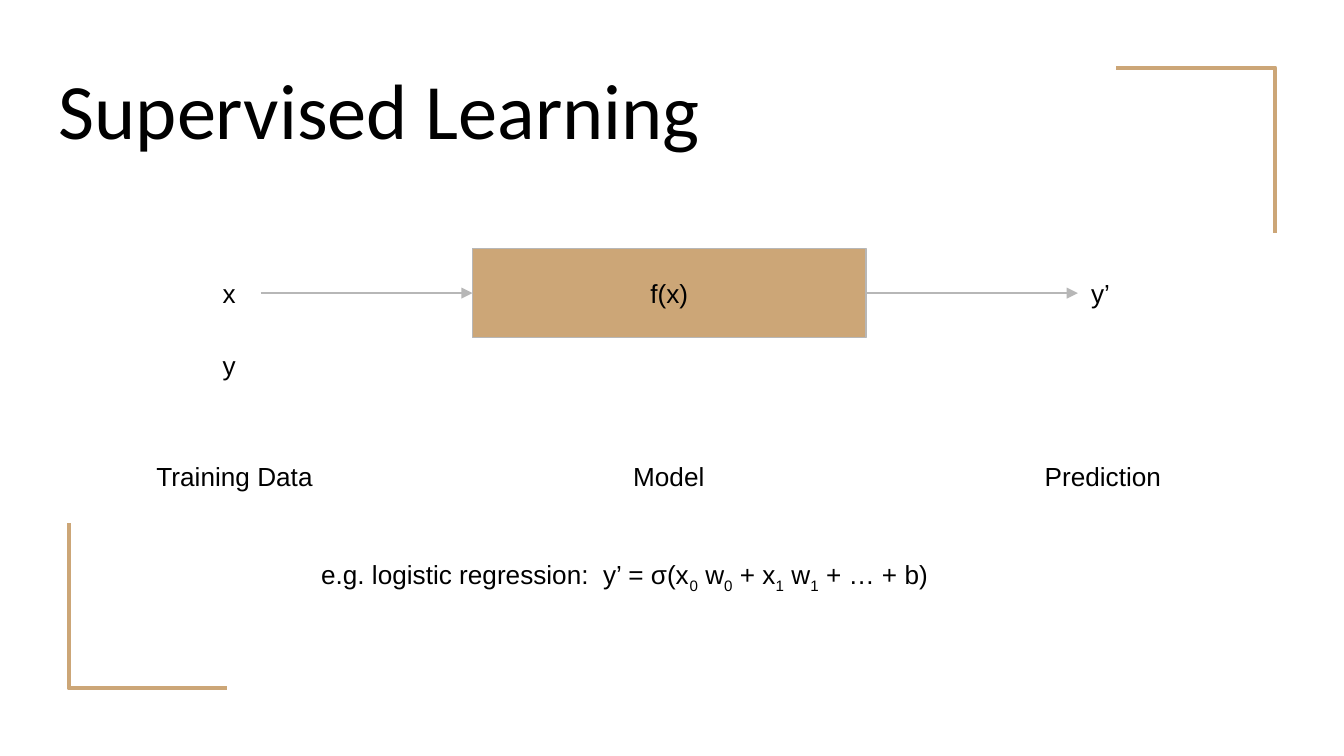
from lxml import etree
from pptx import Presentation
from pptx import util as u
from pptx.dml.color import RGBColor
from pptx.enum import shapes, text
from pptx.oxml.ns import qn

TAN, GREY, BLACK = "CCA677", "B7B7B7", "000000"
LEFT, CENTER = text.PP_ALIGN.LEFT, text.PP_ALIGN.CENTER
MIDDLE, TOP = text.MSO_ANCHOR.MIDDLE, text.MSO_ANCHOR.TOP


def color(value):
    return RGBColor.from_string(value)


def cm(*lengths):
    return [u.Cm(length) for length in lengths]


def set_line(line, value, width):
    line.color.rgb = color(value)
    line.width = u.Pt(width)


def write(shape, content, size=14, font="Arial", align=CENTER, anchor=MIDDLE):
    """Fill a shape with text; the character after each "_" is a subscript."""
    frame = shape.text_frame
    frame.word_wrap = True
    frame.vertical_anchor = anchor
    frame.margin_left = frame.margin_right = u.Cm(0.25)
    frame.margin_top = frame.margin_bottom = u.Cm(0.25)
    paragraph = frame.paragraphs[0]
    paragraph.alignment = align
    first, *rest = content.split("_")
    pieces = [(first, False)]
    for piece in rest:
        pieces += [(piece[0], True), (piece[1:], False)]
    for piece, is_subscript in pieces:
        run = paragraph.add_run()
        run.text = piece
        run.font.size = u.Pt(size)
        run.font.name = font
        run.font.color.rgb = color(BLACK)
        if is_subscript:
            run.font._element.set("baseline", "-25000")


def add_text(slide, content, box, **style):
    label = slide.shapes.add_textbox(*cm(*box))
    write(label, content, **style)
    return label


def add_corner(slide, points):
    start, *others = [cm(*point) for point in points]
    builder = slide.shapes.build_freeform(*start)
    builder.add_line_segments(others, close=False)
    corner = builder.convert_to_shape()
    corner.fill.background()
    corner.shadow.inherit = False
    set_line(corner.line, TAN, 2.25)


def add_corners(slide, box, arm_width=3, arm_height=3.12):
    """Bracket the top right and bottom left corners of the box."""
    left, top, width, height = box
    right, bottom = left + width, top + height
    add_corner(slide, [(right, top + arm_height), (right, top), (right - arm_width, top)])
    add_corner(slide, [(left, bottom - arm_height), (left, bottom), (left + arm_width, bottom)])


def add_arrow(slide, source, target):
    arrow = slide.shapes.add_connector(shapes.MSO_CONNECTOR.STRAIGHT, 0, 0, 0, 0)
    arrow.begin_connect(source, 3)
    arrow.end_connect(target, 1)
    set_line(arrow.line, GREY, 0.75)
    etree.SubElement(arrow.line._get_or_add_ln(), qn("a:tailEnd"), type="triangle")
    etree.SubElement(arrow._element.spPr, qn("a:effectLst"))


def add_flow(slide, box):
    """Input, model and output in a row, with the target y below the input."""
    left, top, width, height = box
    symbol_width, model_width, target_drop = 0.97, 7.44, 1.37
    model_left = left + (width - model_width) / 2
    output_left = left + width - symbol_width

    model = slide.shapes.add_shape(
        shapes.MSO_SHAPE.RECTANGLE, *cm(model_left, top, model_width, height))
    model.shadow.inherit = False
    model.fill.solid()
    model.fill.fore_color.rgb = color(TAN)
    set_line(model.line, GREY, 0.75)
    write(model, "f(x)")

    x = add_text(slide, "x", (left, top, symbol_width, height), align=LEFT)
    prediction = add_text(slide, "y’", (output_left, top, symbol_width, height), align=LEFT)
    add_text(slide, "y", (left, top + target_drop, symbol_width, height), align=LEFT)
    add_arrow(slide, x, model)
    add_arrow(slide, model, prediction)


def add_stage_labels(slide, box, stages):
    left, top, width, height = box
    label_width = 3.99
    step = (width - label_width) / (len(stages) - 1)
    for i, stage in enumerate(stages):
        add_text(slide, stage, (left + i * step, top, label_width, height))


def main():
    deck = Presentation()
    deck.slide_width, deck.slide_height = cm(25.4, 14.29)
    slide = deck.slides.add_slide(deck.slide_layouts[6])

    # Frame and title
    add_corners(slide, (1.3, 1.28, 22.8, 11.73))
    add_text(slide, "Supervised Learning", (0.86, 0.89, 23.67, 2.31),
             size=42, font="Calibri", align=LEFT)

    # Diagram with its stage names
    add_flow(slide, (3.96, 4.7, 17.38, 1.68))
    add_stage_labels(slide, (2.44, 8.15, 20.4, 1.68),
                     ["Training Data", "Model", "Prediction"])

    # Example formula
    add_text(slide, "e.g. logistic regression:  y’ = σ(x_0 w_0 + x_1 w_1 + … + b)",
             (5.82, 10.31, 14.1, 1.65), align=LEFT, anchor=TOP)

    deck.save("out.pptx")


if __name__ == "__main__":
    main()
